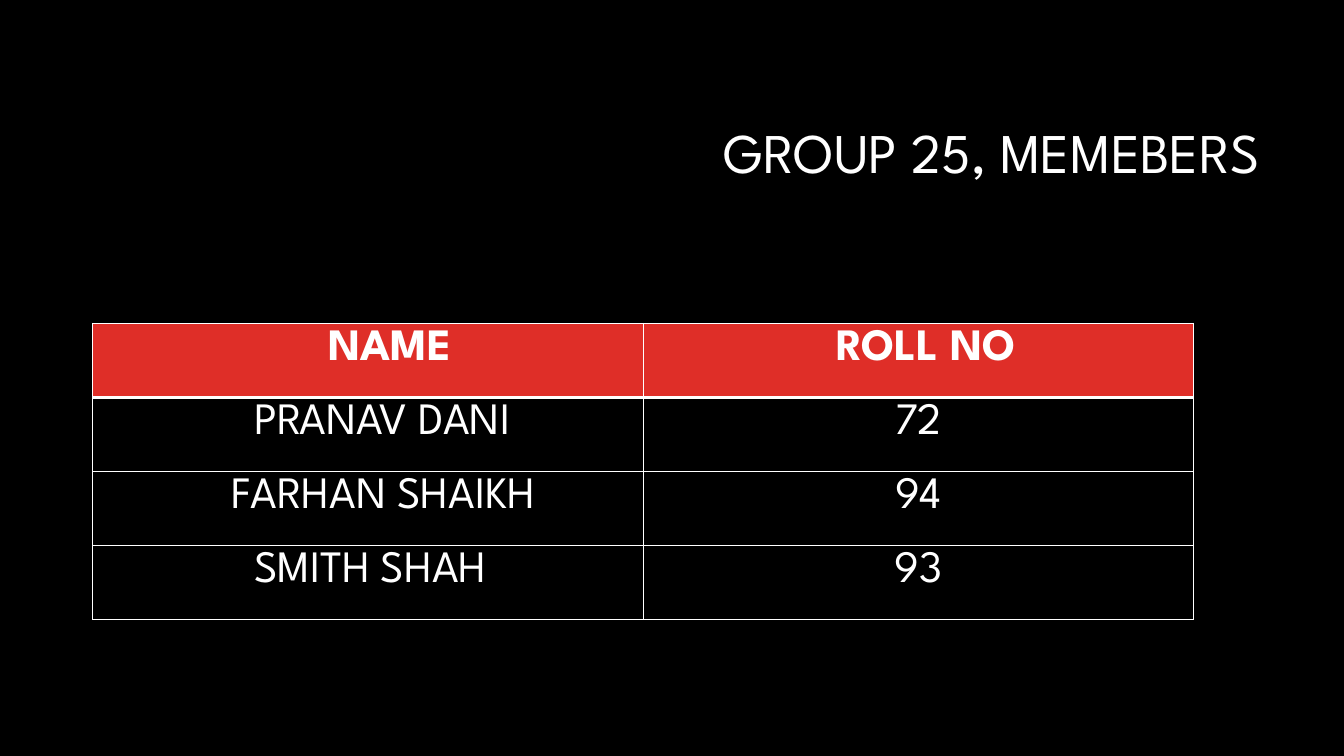
from dataclasses import dataclass

from lxml import etree
from pptx import Presentation
from pptx import util as u
from pptx.dml import color
from pptx.enum import text
from pptx.oxml import ns

FONT = "League Spartan"
WHITE, BLACK, RED = "FFFFFF", "000000", "DF2E28"
LEFT, MID, RIGHT = text.PP_ALIGN.LEFT, text.PP_ALIGN.CENTER, text.PP_ALIGN.RIGHT


@dataclass
class Entry:
    words: str
    align: text.PP_ALIGN = MID
    pad: float = 0.1  # left margin in inches


ROWS = [
    [Entry("NAME", pad=0.53), Entry("ROLL NO", pad=0.25)],
    [Entry("PRANAV DANI", LEFT, 1.6), Entry("72")],
    [Entry("FARHAN SHAIKH", LEFT, 1.38), Entry("94")],
    [Entry("SMITH SHAH", LEFT, 1.6), Entry("93")],
]


def paint(fill, code: str) -> None:
    fill.solid()
    fill.fore_color.rgb = color.RGBColor.from_string(code)


def write(frame, words: str, size: int, align, bold: bool = False):
    para = frame.paragraphs[0]
    para.alignment = align
    run = para.add_run()
    run.text = words
    run.font.name, run.font.size, run.font.bold = FONT, u.Pt(size), bold
    paint(run.font.fill, WHITE)
    return para


def edge(cell, side: str, width: float, place: int) -> None:
    line = etree.Element(ns.qn(f"a:ln{side}"), w=str(u.Pt(width)))
    fill = etree.SubElement(line, ns.qn("a:solidFill"))
    etree.SubElement(fill, ns.qn("a:srgbClr"), val=WHITE)
    cell._tc.get_or_add_tcPr().insert(place, line)


def draw(cell, entry: Entry, row: int) -> None:
    paint(cell.fill, BLACK if row else RED)
    cell.margin_left = u.Inches(entry.pad)
    write(cell.text_frame, entry.words, 32, entry.align, bold=row == 0)
    # The rule below the header is thick
    widths = {"L": 1, "R": 1, "T": 3 if row == 1 else 1, "B": 1 if row else 3}
    for place, (side, width) in enumerate(widths.items()):
        edge(cell, side, width, place)


def main() -> None:
    deck = Presentation()
    deck.slide_width, deck.slide_height = u.Inches(13.33), u.Inches(7.5)
    slide = deck.slides.add_slide(deck.slide_layouts[6])
    paint(slide.background.fill, BLACK)

    # Title
    title = slide.shapes.add_textbox(*map(u.Inches, (3.17, 0.84, 9.42, 1.41)))
    frame = title.text_frame
    frame.word_wrap = True
    frame.vertical_anchor = text.MSO_ANCHOR.MIDDLE
    write(frame, "GROUP 25, MEMEBERS", 40, RIGHT).line_spacing = 0.9

    # Table of members
    box = map(u.Inches, (0.92, 3.21, 10.92, 2.94))
    table = slide.shapes.add_table(len(ROWS), len(ROWS[0]), *box).table
    for row, line in enumerate(ROWS):
        for col, entry in enumerate(line):
            draw(table.cell(row, col), entry, row)

    deck.save("out.pptx")


if __name__ == "__main__":
    main()
